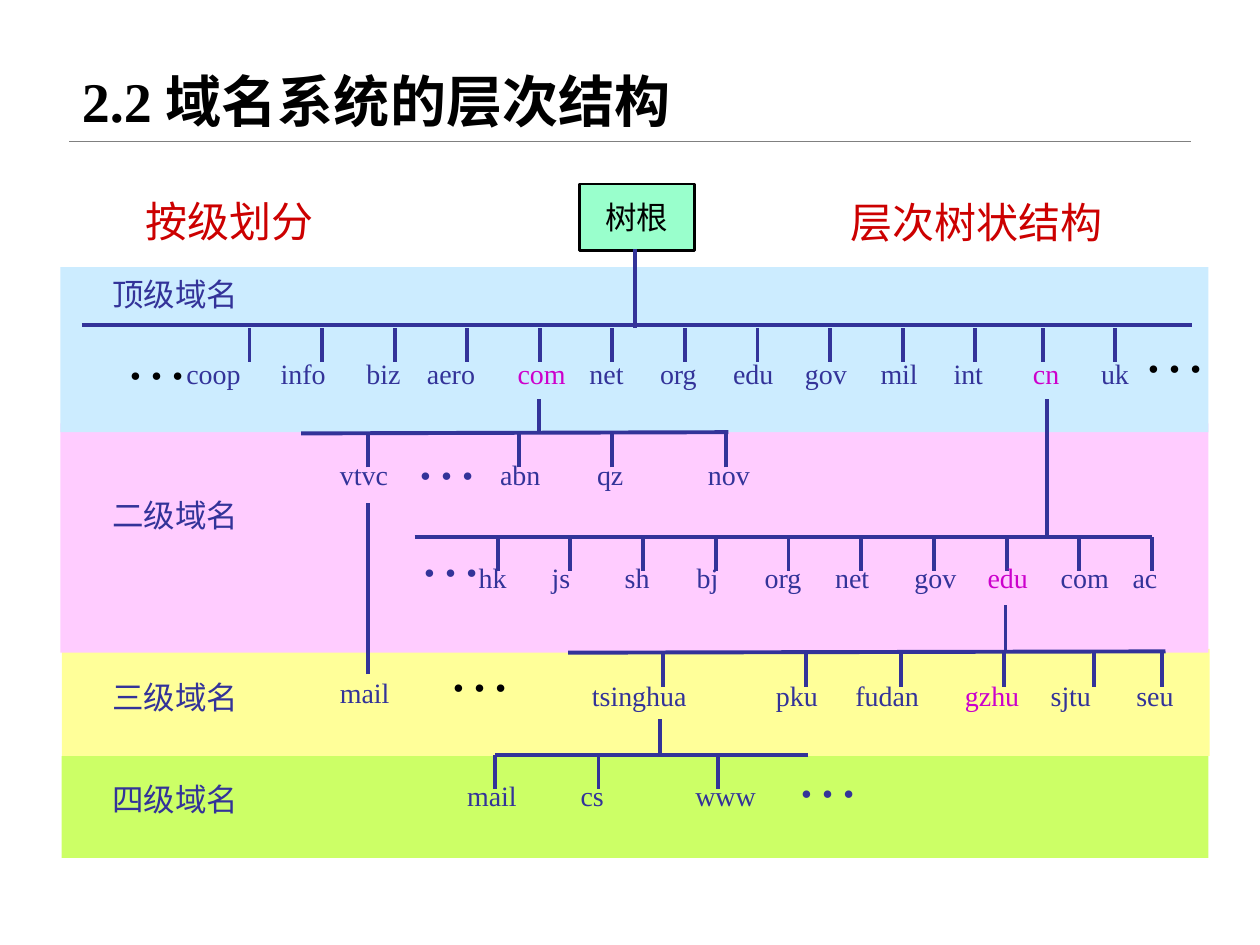
from dataclasses import dataclass

import pptx
import pptx.util
import pptx.dml.color
import pptx.enum.shapes
import pptx.enum.text
import pptx.oxml.ns
from lxml import etree

Inches = pptx.util.Inches
ANCHOR = pptx.enum.text.MSO_ANCHOR
ALIGN = pptx.enum.text.PP_ALIGN
FIT = pptx.enum.text.MSO_AUTO_SIZE


@dataclass(frozen=True)
class Theme:
    font: str = "Times New Roman"
    ink: str = "333399"
    path_ink: str = "CC00CC"
    heading: str = "CC0000"
    black: str = "000000"
    rule: str = "808080"
    root: str = "99FFCC"
    title_size: int = 32
    dots_size: int = 36
    heading_size: int = 24
    level_size: int = 18
    node_size: int = 16
    line_width: float = 2.25


T = Theme()

# Level bands: left, top, width, height, fill
BANDS = [
    (0.49, 5.15, 9.11, 0.85, "FFFF99"),
    (0.49, 6, 9.1, 0.81, "CCFF66"),
    (0.48, 3.36, 9.11, 1.82, "FFCCFF"),
    (0.48, 2.12, 9.11, 1.31, "CCECFF"),
]
LEVELS = [("顶级域名", 2.14), ("二级域名", 3.9), ("三级域名", 5.34), ("四级域名", 6.15)]
HEADINGS = [("按级划分", 1.06, 1.5, 1.91), ("层次树状结构", 6.65, 1.51, 2.8)]
DOTS = [(0.9, 2.46, T.black), (8.98, 2.41, T.black), (3.2, 3.26, T.ink),
        (3.23, 4.03, T.ink), (3.46, 4.94, T.black), (6.22, 5.78, T.ink)]

# Stems from a node down to its row of children: x, top, bottom
STEMS = [(5.04, 1.98, 2.6), (4.28, 3.17, 3.44), (8.31, 3.17, 4.26),
         (7.98, 4.8, 5.17), (5.24, 5.71, 5.99), (2.92, 3.99, 5.35)]


@dataclass(frozen=True)
class Row:
    bar: tuple        # x1, y1, x2, y2
    tick_top: float
    label_top: float
    ticks: list
    nodes: list       # name, left, width
    on_path: str = ""


def steps(start, gap, count):
    return [start + gap * i for i in range(count)]


ROWS = [
    Row((0.65, 2.58, 9.46, 2.58), 2.6, 2.78,
        steps(1.98, 0.576, 11) + [8.28, 8.85],
        [("coop", 1.38, 0.79), ("info", 2.13, 0.66), ("biz", 2.81, 0.54),
         ("aero", 3.29, 0.72), ("com", 4.01, 0.71), ("net", 4.58, 0.58),
         ("org", 5.14, 0.6), ("edu", 5.72, 0.64), ("gov", 6.29, 0.64),
         ("mil", 6.89, 0.55), ("int", 7.47, 0.5), ("cn", 8.1, 0.47),
         ("uk", 8.64, 0.48)], "com cn"),
    Row((2.39, 3.44, 5.78, 3.43), 3.44, 3.58, [2.92, 4.12, 4.86, 5.76],
        [("vtvc", 2.6, 0.67), ("abn", 3.87, 0.65), ("qz", 4.64, 0.5),
         ("nov", 5.52, 0.68)]),
    Row((3.29, 4.26, 9.14, 4.26), 4.26, 4.4, steps(3.95, 0.577, 10),
        [("hk", 3.7, 0.48), ("js", 4.28, 0.37), ("sh", 4.86, 0.46),
         ("bj", 5.43, 0.41), ("org", 5.97, 0.6), ("net", 6.53, 0.58),
         ("gov", 7.16, 0.64), ("edu", 7.74, 0.64), ("com", 8.32, 0.71),
         ("ac", 8.89, 0.45)], "edu"),
    Row((4.51, 5.18, 9.25, 5.17), 5.18, 5.34,
        [5.26, 6.4, 7.15, 7.97, 8.68, 9.22],
        [("tsinghua", 4.6, 1.23), ("pku", 6.06, 0.64), ("fudan", 6.69, 0.89),
         ("gzhu", 7.56, 0.78), ("sjtu", 8.24, 0.62), ("seu", 8.92, 0.6)], "gzhu"),
    Row((3.93, 5.99, 6.41, 5.99), 5.99, 6.13, [3.93, 4.75, 5.7],
        [("mail", 3.61, 0.7), ("cs", 4.51, 0.43), ("www", 5.42, 0.78)]),
]


def rgb(color):
    return pptx.dml.color.RGBColor.from_string(color)


def set_all(obj, values):
    for name, value in values.items():
        setattr(obj, name, value)


def write(tf, text, size, color, bold=False, **frame):
    set_all(tf, frame)
    p = tf.paragraphs[0]
    r = p.add_run()
    r.text = text
    set_all(r.font, {"name": T.font, "size": pptx.util.Pt(size), "bold": bold})
    r.font.color.rgb = rgb(color)
    return p


def add_text(s, text, x, y, w, h, size, color=T.ink, **frame):
    sp = s.shapes.add_textbox(Inches(x), Inches(y), Inches(w), Inches(h))
    write(sp.text_frame, text, size, color, word_wrap=True,
          auto_size=FIT.SHAPE_TO_FIT_TEXT, **frame)


def add_line(s, x1, y1, x2, y2, color=T.ink, width=T.line_width):
    sp = s.shapes.add_connector(pptx.enum.shapes.MSO_CONNECTOR.STRAIGHT,
                                Inches(x1), Inches(y1), Inches(x2), Inches(y2))
    sp.line.color.rgb = rgb(color)
    sp.line.width = pptx.util.Pt(width)
    etree.SubElement(sp._element.spPr, pptx.oxml.ns.qn("a:effectLst"))


def add_box(s, x, y, w, h, fill):
    sp = s.shapes.add_shape(pptx.enum.shapes.MSO_SHAPE.RECTANGLE,
                            Inches(x), Inches(y), Inches(w), Inches(h))
    sp.shadow.inherit = False
    sp.fill.solid()
    sp.fill.fore_color.rgb = rgb(fill)
    sp.line.fill.background()
    return sp


def add_title(s, text):
    sp = s.shapes.title
    set_all(sp, {"left": Inches(0.55), "top": Inches(0),
                 "width": Inches(8.9), "height": Inches(1.12)})
    p = write(sp.text_frame, text, T.title_size, T.black, bold=True,
              vertical_anchor=ANCHOR.BOTTOM, auto_size=FIT.NONE)
    set_all(p, {"alignment": ALIGN.LEFT, "line_spacing": 0.9})
    add_line(s, 0.55, 1.12, 9.45, 1.12, T.rule, 0.25)


def add_root(s, text):
    sp = add_box(s, 4.6, 1.46, 0.91, 0.53, T.root)
    sp.line.color.rgb = rgb(T.black)
    sp.line.width = pptx.util.Pt(1.5)
    p = write(sp.text_frame, text, T.level_size, T.black, word_wrap=False,
              vertical_anchor=ANCHOR.MIDDLE)
    p.alignment = ALIGN.CENTER


def add_row(s, row):
    add_line(s, *row.bar)
    for x in row.ticks:
        add_line(s, x, row.tick_top + 0.27, x, row.tick_top)
    for name, x, w in row.nodes:
        color = T.path_ink if name in row.on_path.split() else T.ink
        add_text(s, name, x, row.label_top, w, 0.37, T.node_size, color)


def main():
    prs = pptx.Presentation()
    set_all(prs, {"slide_width": Inches(10), "slide_height": Inches(7.5)})
    s = prs.slides.add_slide(prs.slide_layouts[5])
    add_title(s, "2.2 域名系统的层次结构")

    # Bands and their level names
    for band in BANDS:
        add_box(s, *band)
    side, edge = Inches(0.07), Inches(0.04)
    for text, y in LEVELS:
        add_text(s, text, 0.82, y, 1.4, 0.38, T.level_size, margin_left=side,
                 margin_right=side, margin_top=edge, margin_bottom=edge)

    # Domain tree
    add_root(s, "树根")
    for x, top, bottom in STEMS:
        add_line(s, x, bottom, x, top)
    for row in ROWS:
        add_row(s, row)
    add_text(s, "mail", 2.6, 5.31, 0.7, 0.37, T.node_size)
    for x, y, color in DOTS:
        add_text(s, "…", x, y, 0.64, 0.71, T.dots_size, color)

    # Red headings
    for text, x, y, w in HEADINGS:
        add_text(s, text, x, y, w, 0.5, T.heading_size, T.heading)
    prs.save("out.pptx")


if __name__ == "__main__":
    main()
